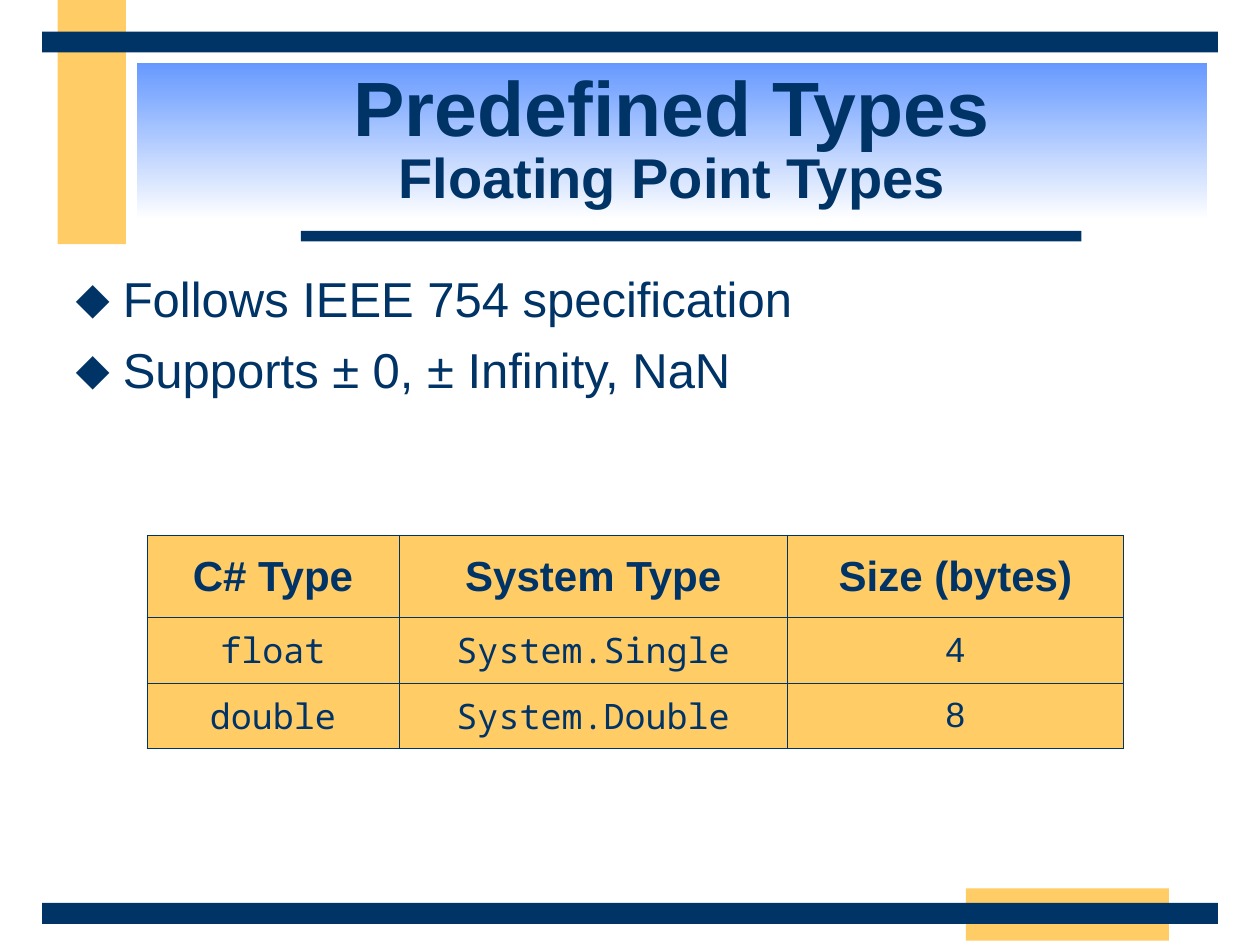
"""Build the slide on predefined floating point types."""
from lxml import etree
from pptx import Presentation
from pptx import util as u
from pptx.dml.color import RGBColor
from pptx.enum import shapes, text
from pptx.oxml.ns import qn

NAVY = RGBColor(0x00, 0x33, 0x66)
GOLD = RGBColor(0xFF, 0xCC, 0x66)
BLUE = RGBColor(0x66, 0x99, 0xFF)
WHITE = RGBColor(0xFF, 0xFF, 0xFF)
SANS = "Arial"
MONO = "Noto Sans Mono"

BARS = [
    (GOLD, 33, 0, 39, 139.5),
    (GOLD, 552, 507.6, 116, 30),
    (NAVY, 172, 132, 446, 6),
    (NAVY, 24, 516, 672, 12),
    (NAVY, 24, 18, 672, 12),
]
TITLE_BOX = (78, 36, 612, 90)
TITLE_LINES = [("Predefined Types", 44), ("Floating Point Types", 32)]
BODY_BOX = (36, 150, 648, 354)
BULLETS = ["Follows IEEE 754 specification", "Supports ± 0, ± Infinity, NaN"]
BULLET_INDENT = 27
TABLE_ORIGIN = (84, 306)
COLUMN_WIDTHS = [144, 222, 192]
ROW_HEIGHTS = [46.8, 37.5, 37.5]
ROWS = [
    ("C# Type", "System Type", "Size (bytes)"),
    ("float", "System.Single", "4"),
    ("double", "System.Double", "8"),
]


def points(values):
    return [u.Pt(value) for value in values]


def add_run(paragraph, words, size, font=SANS, bold=False):
    run = paragraph.add_run()
    run.text = words
    run.font.name, run.font.size, run.font.bold = font, u.Pt(size), bold
    run.font.color.rgb = NAVY


def place(shape, box):
    shape.left, shape.top, shape.width, shape.height = points(box)
    shape.text_frame.auto_size = text.MSO_AUTO_SIZE.NONE
    shape.text_frame.word_wrap = True


def add_bars(slide):
    for color, *box in BARS:
        bar = slide.shapes.add_shape(shapes.MSO_SHAPE.RECTANGLE, *points(box))
        bar.shadow.inherit = False
        bar.fill.solid()
        bar.fill.fore_color.rgb = color
        bar.line.fill.background()


def fill_title(title):
    place(title, TITLE_BOX)
    title.fill.gradient()
    title.fill.gradient_angle = 270
    for stop, color in zip(title.fill.gradient_stops, (BLUE, WHITE)):
        stop.color.rgb = color
    title.text_frame.vertical_anchor = text.MSO_ANCHOR.MIDDLE
    paragraph = title.text_frame.paragraphs[0]
    paragraph.alignment = text.PP_ALIGN.CENTER
    paragraph.line_spacing = 0.85
    for index, (words, size) in enumerate(TITLE_LINES):
        if index:
            paragraph.add_line_break()
        add_run(paragraph, words, size, bold=True)


def add_bullet(paragraph):
    properties = paragraph._p.get_or_add_pPr()
    properties.set("marL", str(u.Pt(BULLET_INDENT)))
    properties.set("indent", str(-u.Pt(BULLET_INDENT)))
    color = etree.SubElement(properties, qn("a:buClr"))
    etree.SubElement(color, qn("a:srgbClr"), val=str(NAVY))
    etree.SubElement(properties, qn("a:buFont"), typeface=SANS)
    etree.SubElement(properties, qn("a:buChar"), char="⬥")


def fill_body(body):
    place(body, BODY_BOX)
    frame = body.text_frame
    for index, words in enumerate(BULLETS):
        paragraph = frame.add_paragraph() if index else frame.paragraphs[0]
        add_bullet(paragraph)
        paragraph.space_before = u.Pt(7 if index else 0)
        add_run(paragraph, words, 28)


def add_borders(cell):
    properties = cell._tc.get_or_add_tcPr()
    for side in ("a:lnL", "a:lnR", "a:lnT", "a:lnB"):
        line = etree.SubElement(properties, qn(side), w=str(u.Pt(0.45)))
        fill = etree.SubElement(line, qn("a:solidFill"))
        etree.SubElement(fill, qn("a:srgbClr"), val=str(NAVY))


def add_type_table(slide):
    size = (sum(COLUMN_WIDTHS), sum(ROW_HEIGHTS))
    table = slide.shapes.add_table(
        len(ROWS), len(COLUMN_WIDTHS), *points(TABLE_ORIGIN + size)
    ).table
    for column, width in zip(table.columns, COLUMN_WIDTHS):
        column.width = u.Pt(width)
    for row_index, (row, height) in enumerate(zip(ROWS, ROW_HEIGHTS)):
        table.rows[row_index].height = u.Pt(height)
        header = row_index == 0
        for column_index, words in enumerate(row):
            cell = table.cell(row_index, column_index)
            add_borders(cell)
            cell.fill.solid()
            cell.fill.fore_color.rgb = GOLD
            cell.vertical_anchor = text.MSO_ANCHOR.MIDDLE
            paragraph = cell.text_frame.paragraphs[0]
            paragraph.alignment = text.PP_ALIGN.CENTER
            font = SANS if header or column_index == 2 else MONO
            add_run(paragraph, words, 24 if header else 20, font, header)


def main():
    presentation = Presentation()
    presentation.slide_width, presentation.slide_height = points((720, 540))
    slide = presentation.slides.add_slide(presentation.slide_layouts[1])
    add_bars(slide)
    fill_title(slide.shapes.title)
    fill_body(slide.placeholders[1])
    add_type_table(slide)
    presentation.save("out.pptx")


if __name__ == "__main__":
    main()
